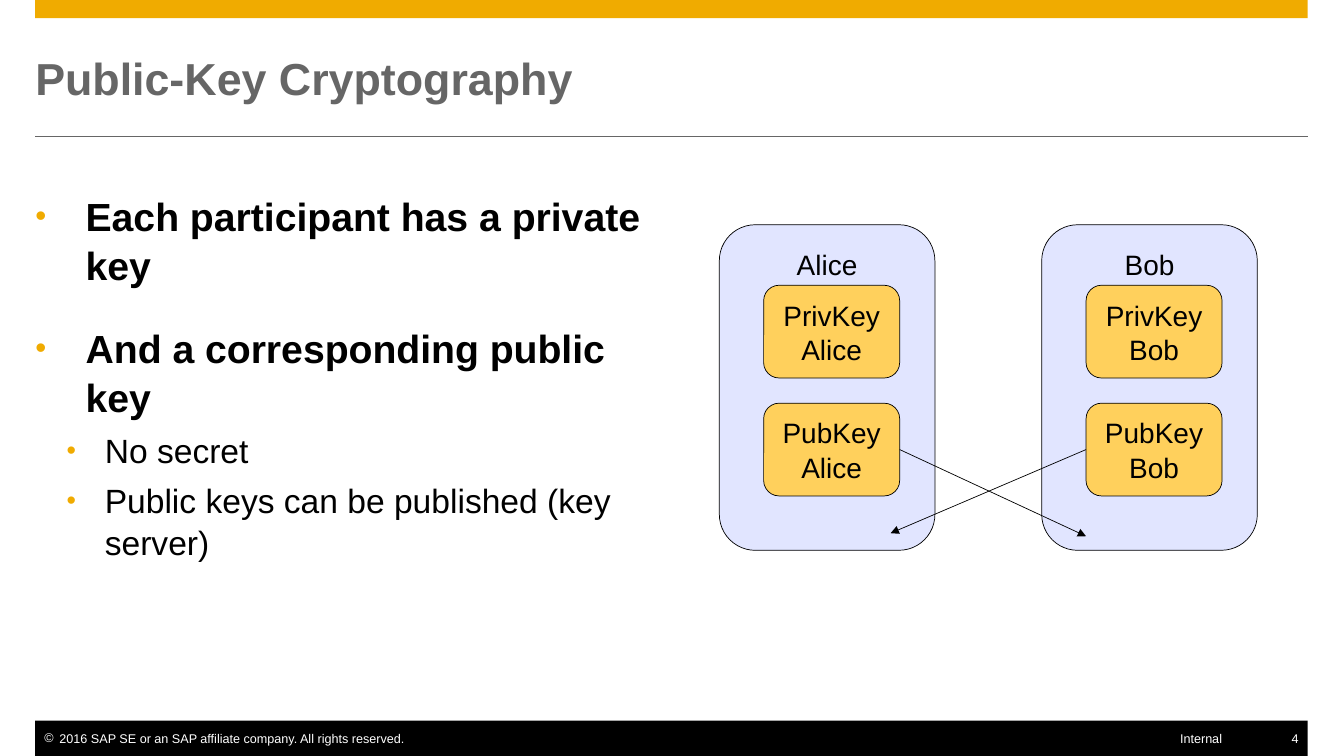
from pptx import Presentation
from pptx.dml.color import RGBColor
from pptx.enum.shapes import MSO_CONNECTOR, MSO_SHAPE
from pptx.enum.text import MSO_ANCHOR, PP_ALIGN
from pptx.oxml.ns import qn
from pptx.util import Inches, Pt
from lxml.etree import SubElement

GOLD, BLACK, WHITE, GREY = "F0AB00", "000000", "FFFFFF", "666666"
PARTICIPANT_FILL, KEY_FILL = "E1E5FF", "FFD05C"


def rgb(hex_color):
    """Turn a hex string into a colour."""
    return RGBColor.from_string(hex_color)


def style(paragraph, size, color, bold=False, align=PP_ALIGN.LEFT):
    """Set the font and alignment of a paragraph."""
    font = paragraph.font
    font.name, font.size, font.bold = "Arial", Pt(size), bold
    font.color.rgb = rgb(color)
    paragraph.alignment = align


def set_bullet(paragraph, char, color, indent, hanging, percent=100):
    """Give a paragraph a coloured bullet with a hanging indent."""
    properties = paragraph._p.get_or_add_pPr()
    properties.set("marL", str(Inches(indent)))
    properties.set("indent", str(-Inches(hanging)))
    bullet_color = SubElement(properties, qn("a:buClr"))
    SubElement(bullet_color, qn("a:srgbClr"), val=color)
    SubElement(properties, qn("a:buSzPct"), val=str(percent * 1000))
    SubElement(properties, qn("a:buFont"), typeface="Arial")
    SubElement(properties, qn("a:buChar"), char=char)


def set_margins(frame, left=0, top=0, right=0, bottom=0):
    """Set the inner margins of a text frame in inches."""
    frame.margin_left, frame.margin_top = Inches(left), Inches(top)
    frame.margin_right, frame.margin_bottom = Inches(right), Inches(bottom)


def place(shape, left, top, width, height):
    """Move a placeholder to a box given in inches."""
    shape.left, shape.top = Inches(left), Inches(top)
    shape.width, shape.height = Inches(width), Inches(height)


def add_block(slide, kind, left, top, width, height, fill, outlined=False):
    """Add a flat filled shape, with a thin black outline if asked."""
    block = slide.shapes.add_shape(
        kind, Inches(left), Inches(top), Inches(width), Inches(height))
    block.shadow.inherit = False
    block.fill.solid()
    block.fill.fore_color.rgb = rgb(fill)
    if outlined:
        block.line.color.rgb = rgb(BLACK)
        block.line.width = Pt(0.5)
    else:
        block.line.fill.background()
    return block


def add_line(slide, start, end, color, arrow=False):
    """Add a thin straight line, with an arrowhead at its end if asked."""
    line = slide.shapes.add_connector(
        MSO_CONNECTOR.STRAIGHT, *map(Inches, start + end))
    line.line.color.rgb = rgb(color)
    line.line.width = Pt(0.5)
    properties = line._element.spPr
    if arrow:
        SubElement(properties.find(qn("a:ln")), qn("a:tailEnd"), type="triangle")
    SubElement(properties, qn("a:effectLst"))
    return line


def add_header(slide, left, top, width):
    """Draw the top band, the title and the rule under it."""
    add_block(slide, MSO_SHAPE.RECTANGLE, left, top, width, 0.18, GOLD)
    rule_y = top + 1.35
    add_line(slide, (left, rule_y), (left + width, rule_y), GREY)
    title = slide.shapes.title
    place(title, left, top + 0.35, width, 0.83)
    frame = title.text_frame
    set_margins(frame)
    frame.vertical_anchor = MSO_ANCHOR.MIDDLE
    frame.text = "Public-Key Cryptography"
    style(frame.paragraphs[0], 32, GREY, bold=True)


def add_footer(slide, left, top, width, height):
    """Draw the footer bar with copyright, classification and page number."""
    add_block(slide, MSO_SHAPE.RECTANGLE, left, top, width, height, BLACK)
    notes = [
        ("2016 SAP SE or an SAP affiliate company. All rights reserved.",
         0, 3.72, PP_ALIGN.LEFT),
        ("Internal", 10.41, 1.37, PP_ALIGN.RIGHT),
        ("4", width - 0.25, 0.25, PP_ALIGN.RIGHT),
    ]
    for text, offset, note_width, align in notes:
        note = slide.shapes.add_textbox(
            Inches(left + offset), Inches(top + 0.1), Inches(note_width), Inches(0.15))
        frame = note.text_frame
        frame.word_wrap = text == "Internal"
        set_margins(frame, left=0.09 if align == PP_ALIGN.LEFT else 0,
                    right=0.09 if text == "4" else 0)
        frame.text = text
        paragraph = frame.paragraphs[0]
        if align == PP_ALIGN.LEFT:
            set_bullet(paragraph, "©", WHITE, 0.15, 0.15)
        style(paragraph, 9, WHITE, align=align)


def add_key_facts(slide, left, top, width, height):
    """Fill the body placeholder with the two-level list."""
    facts = [
        ("Each participant has a private key", 0),
        ("And a corresponding public key", 0),
        ("No secret", 1),
        ("Public keys can be published (key server)", 1),
    ]
    body = slide.placeholders[1]
    place(body, left, top, width, height)
    frame = body.text_frame
    set_margins(frame)
    frame.vertical_anchor = MSO_ANCHOR.TOP
    for index, (text, level) in enumerate(facts):
        paragraph = frame.add_paragraph() if index else frame.paragraphs[0]
        paragraph.text = text
        paragraph.level = level
        paragraph.line_spacing = 1.04
        paragraph.space_before = Pt((6 if level else 24) if index else 0)
        indent, hanging = (0.69, 0.38) if level else (0.5, 0.5)
        set_bullet(paragraph, "•", GOLD, indent, hanging, 80)
        style(paragraph, 24 if level else 28, BLACK, bold=level == 0)


def add_label(block, text, top_margin, anchor):
    """Write a centred label into a rounded block."""
    frame = block.text_frame
    frame.word_wrap = True
    set_margins(frame, 0.1, top_margin, 0.1, 0.08)
    frame.vertical_anchor = anchor
    frame.text = text
    frame.paragraphs[0].line_spacing = 1.04
    style(frame.paragraphs[0], 20, BLACK, align=PP_ALIGN.CENTER)


def add_participant(slide, name, left, top, width, height):
    """Draw a participant with both keys and return the public key."""
    participant = add_block(slide, MSO_SHAPE.ROUNDED_RECTANGLE, left, top,
                            width, height, PARTICIPANT_FILL, outlined=True)
    add_label(participant, name, 0.11, MSO_ANCHOR.TOP)
    for kind, offset in (("PrivKey", 0.6), ("PubKey", 1.77)):
        key = add_block(slide, MSO_SHAPE.ROUNDED_RECTANGLE, left + 0.44, top + offset,
                        1.35, 0.92, KEY_FILL, outlined=True)
        add_label(key, f"{kind} {name}", 0.08, MSO_ANCHOR.MIDDLE)
    return key


def add_key_exchange(slide, left, top, width, height):
    """Draw both participants and the arrows that swap their public keys."""
    participant_width = 2.14
    bob_left = left + width - participant_width
    bob_key = add_participant(slide, "Bob", bob_left, top, participant_width, height)
    alice_key = add_participant(slide, "Alice", left, top, participant_width, height)
    key_y = top + 2.23
    to_bob = add_line(slide, (left + 1.79, key_y), (bob_left + 0.44, top + 3.09),
                      BLACK, arrow=True)
    to_bob.begin_connect(alice_key, 3)
    to_alice = add_line(slide, (bob_left + 0.44, key_y), (left + 1.7, top + 3.06),
                        BLACK, arrow=True)
    to_alice.begin_connect(bob_key, 1)


def main():
    """Build the slide and save it."""
    presentation = Presentation()
    presentation.slide_width, presentation.slide_height = Inches(13.34), Inches(7.5)
    slide = presentation.slides.add_slide(presentation.slide_layouts[1])
    add_header(slide, 0.35, 0, 12.63)
    add_footer(slide, 0.35, 7.15, 12.63, 0.35)
    add_key_facts(slide, 0.35, 1.89, 6.19, 4.75)
    add_key_exchange(slide, 7.14, 2.23, 5.34, 3.23)
    presentation.save("out.pptx")


if __name__ == "__main__":
    main()
